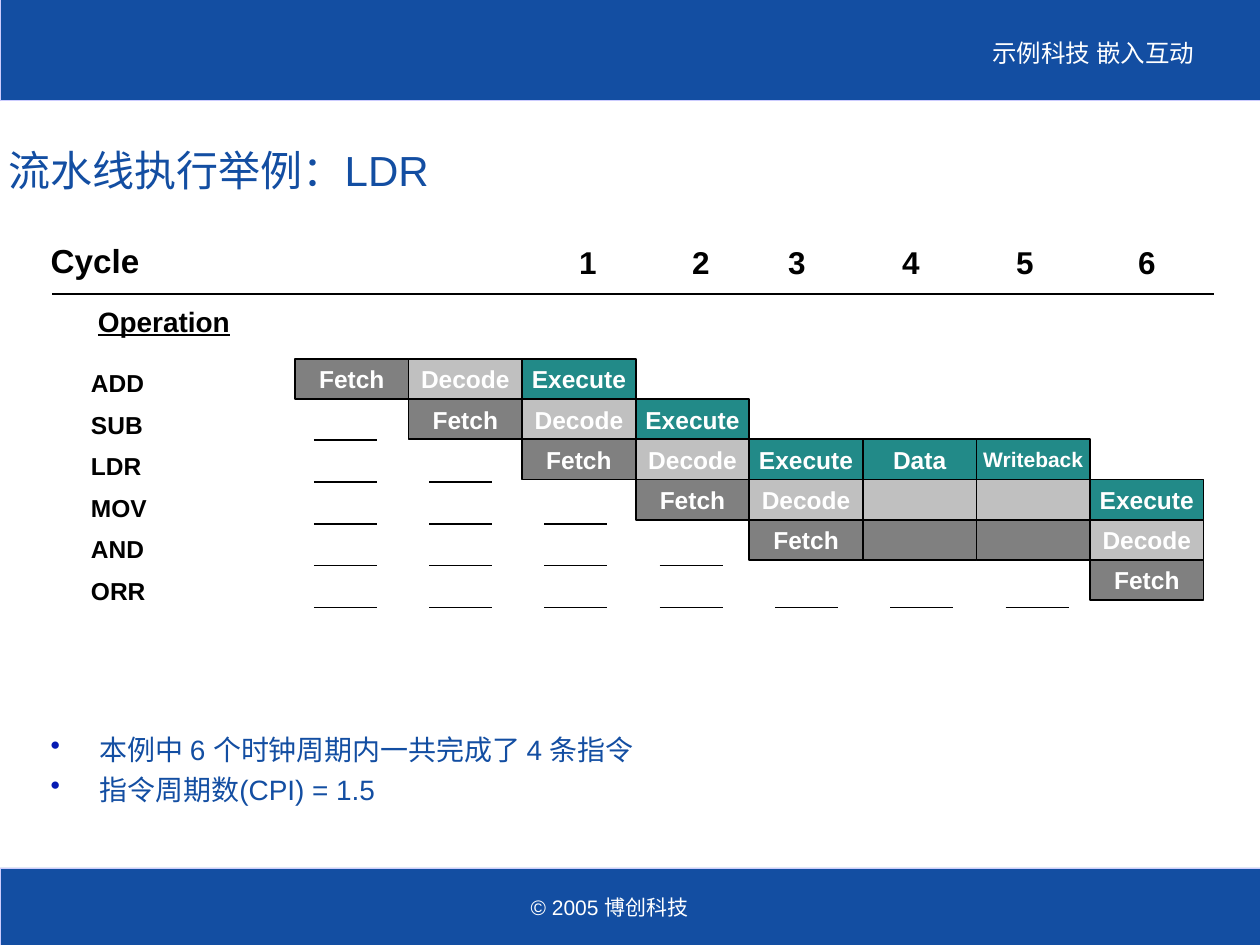
from lxml import etree
from pptx import Presentation
from pptx.dml.color import RGBColor
from pptx.enum.shapes import MSO_CONNECTOR, MSO_SHAPE
from pptx.enum.text import MSO_ANCHOR, PP_ALIGN
from pptx.oxml.ns import qn
from pptx.util import Pt

RECT = MSO_SHAPE.RECTANGLE
LINE = MSO_CONNECTOR.STRAIGHT
TOP, MID = MSO_ANCHOR.TOP, MSO_ANCHOR.MIDDLE
LEFT, MIDDLE, RIGHT = PP_ALIGN.LEFT, PP_ALIGN.CENTER, PP_ALIGN.RIGHT
rgb = RGBColor.from_string
BLUE, BLACK, WHITE = "134EA2", "000000", "FFFFFF"
DARK, PALE, TEAL = "808080", "C0C0C0", "228A88"

deck = Presentation()
deck.slide_width, deck.slide_height = Pt(720), Pt(540)
slide = deck.slides.add_slide(deck.slide_layouts[6])
shapes = slide.shapes


def write(box, text, size=14, color=BLACK, bold=False, under=False, font="Arial",
          align=LEFT, anchor=TOP, pad=(5, 2.2), gap=None, after=0, wrap=True,
          bullet=None, tabs=()):
    """Fill a shape with text, one paragraph per line."""
    frame = box.text_frame
    frame.word_wrap, frame.vertical_anchor = wrap, anchor
    frame.margin_left = frame.margin_right = Pt(pad[0])
    frame.margin_top = frame.margin_bottom = Pt(pad[1])
    frame.text = text
    for para in frame.paragraphs:
        props = para._p.get_or_add_pPr()
        if bullet:
            props.set("marL", str(Pt(28)))
            props.set("indent", str(Pt(-28)))
            tint = etree.SubElement(props, qn("a:buClr"))
            etree.SubElement(tint, qn("a:srgbClr"), val=bullet)
            etree.SubElement(props, qn("a:buChar"), char="•")
        if tabs:
            stops = etree.SubElement(props, qn("a:tabLst"))
            for pos in tabs:
                etree.SubElement(stops, qn("a:tab"), pos=str(Pt(pos)), algn="ctr")
        para.alignment, para.space_after = align, Pt(after)
        if gap:
            para.line_spacing = gap
        for run in para.runs:
            face = run.font
            face.name, face.size, face.bold = font, Pt(size), bold
            face.underline = under
            face.color.rgb = rgb(color)


def draw(x, y, w, h, fill=None, edge=BLACK, thick=1):
    """Add a filled box, or a line when no fill is given."""
    if fill:
        item = shapes.add_shape(RECT, Pt(x), Pt(y), Pt(w), Pt(h))
        item.shadow.inherit = False
        item.fill.solid()
        item.fill.fore_color.rgb = rgb(fill)
    else:
        item = shapes.add_connector(LINE, Pt(x), Pt(y), Pt(x + w), Pt(y + h))
        etree.SubElement(item._element.spPr, qn("a:effectLst"))
    item.line.color.rgb = rgb(edge)
    item.line.width = Pt(thick)
    return item


# Header and footer bands
draw(0, 496, 720, 44, BLUE, "CCCCFF", 0.25)
draw(0, -0.5, 720, 58, BLUE, "CCCCFF", 0.25)

# Free text: left, top, width, height, words, format
texts = [
    (560, 18, 130, 24.5, "示例科技 嵌入互动",
     dict(color=WHITE, font="Noto Sans CJK SC", pad=(7.2, 3.6), wrap=False)),
    (273, 507.5, 127.5, 21.5, "© 2005 博创科技",
     dict(size=12, color=WHITE, align=RIGHT, anchor=MID, pad=(7.2, 3.6))),
    (0, 60.5, 466.5, 78, "流水线执行举例：LDR",
     dict(size=24, color=BLUE, anchor=MID, gap=0.85)),
    (24, 416, 578, 47, "本例中 6 个时钟周期内一共完成了 4 条指令\n指令周期数(CPI) = 1.5",
     dict(size=16, color=BLUE, anchor=MID, after=4, bullet="051AB3")),
    (24, 138, 62, 24.5, "Cycle", dict(size=19, bold=True, gap=0.88, wrap=False)),
    (51, 174, 86, 21, "Operation",
     dict(size=16, bold=True, under=True, gap=0.88, wrap=False)),
    (305, 138, 370, 27, "\t1\t2\t3\t4\t5\t6",
     dict(size=18, bold=True, gap=0.9, pad=(7.2, 3.6),
          tabs=(23.8, 88.4, 143.2, 208.4, 273.5, 343.2))),
]
for x, y, w, h, words, style in texts:
    write(shapes.add_textbox(Pt(x), Pt(y), Pt(w), Pt(h)), words, **style)

# Rule under the cycle numbers
draw(30, 168, 663.5, 0)

# Pipeline rows: operation, first column, stages, idle marks
fetch, decode, run = ("Fetch", DARK), ("Decode", PALE), ("Execute", TEAL)
rows = [
    ("ADD", 0, [fetch, decode, run], 0),
    ("SUB", 1, [fetch, decode, run], 1),
    ("LDR", 2, [fetch, decode, run, ("Data", TEAL), ("Writeback", TEAL)], 2),
    ("MOV", 3, [fetch, decode, ("", PALE), ("", PALE), run], 3),
    ("AND", 4, [fetch, ("", DARK), ("", DARK), decode], 4),
    ("ORR", 7, [fetch], 7),
]
for row, (name, first, stages, idle) in enumerate(rows):
    label = shapes.add_textbox(Pt(47), Pt(210.2 + 23.8 * row), Pt(44), Pt(19))
    write(label, name, bold=True, gap=0.88, wrap=False)
    for col, (stage, fill) in enumerate(stages, first):
        cell = draw(168.6 + 64.9 * col, 205.2 + 22.95 * row, 64.9, 22.95, fill)
        if stage:
            write(cell, stage, size=12 if stage == "Writeback" else 14, color=WHITE,
                  bold=True, align=MIDDLE, anchor=MID, pad=(0, 0), wrap=False)
    for mark in range(idle):
        draw(179.3 + 65.9 * mark, 227.6 + 23.9 * row, 36, 0)

deck.save("out.pptx")
